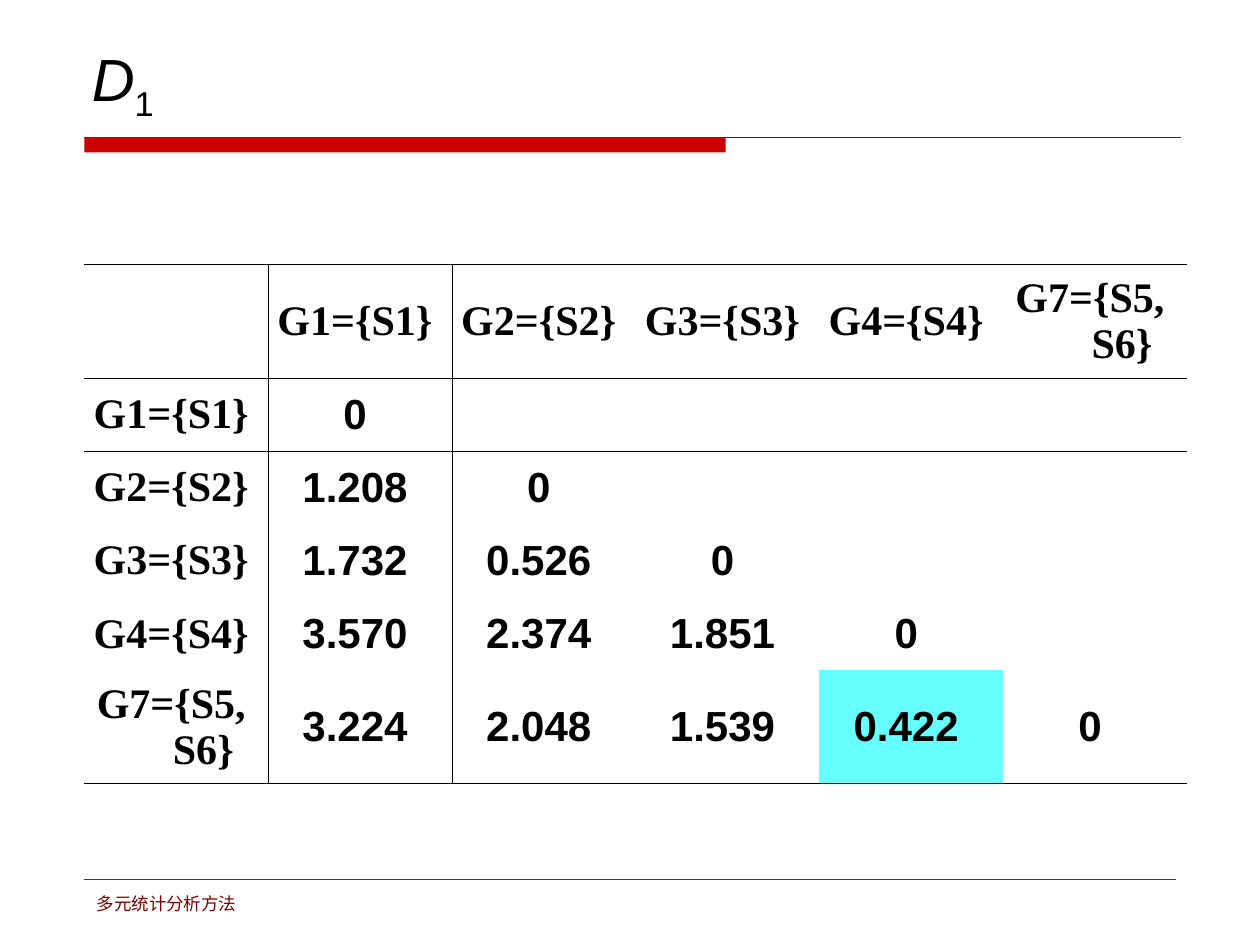
from pptx import Presentation
from pptx.util import Inches, Pt
from pptx.dml.color import RGBColor
from pptx.enum.shapes import MSO_CONNECTOR as Conn, MSO_SHAPE as Shape
from pptx.enum.text import MSO_ANCHOR as Anchor, PP_ALIGN as Align
from pptx.oxml import parse_xml
from pptx.oxml.ns import nsdecls, qn
from lxml import etree

rgb = RGBColor.from_string


def style(run, size, name, color="000000", bold=False):
    font = run.font
    font.size, font.name, font.bold = Pt(size), name, bold
    font.color.rgb = rgb(color)


prs = Presentation()
prs.slide_width, prs.slide_height = Inches(10), Inches(7.5)
slide = prs.slides.add_slide(prs.slide_layouts[6])
shapes = slide.shapes

# Title rule, its red bar and the footer rule
for y, end, color, width in [(1.09, 9.37, "333333", 0.75), (6.98, 9.33, "CC0000", 0.25)]:
    line = shapes.add_connector(Conn.STRAIGHT, Inches(0.67), Inches(y), Inches(end), Inches(y))
    line.line.color.rgb = rgb(color)
    line.line.width = Pt(width)
    etree.SubElement(line._element.spPr, qn("a:effectLst"))
bar = shapes.add_shape(Shape.RECTANGLE, Inches(0.67), Inches(1.09), Inches(5.09), Inches(0.12))
bar.shadow.inherit = False
bar.fill.solid()
bar.fill.fore_color.rgb = rgb("CC0000")
bar.line.fill.background()

# Title with subscript
title = shapes.add_textbox(Inches(0.63), Inches(0.33), Inches(8.75), Inches(0.7))
frame = title.text_frame
frame.word_wrap = True
frame.vertical_anchor = Anchor.BOTTOM
para = frame.paragraphs[0]
for text in "D1":
    run = para.add_run()
    run.text = text
    style(run, 34, "Arial")
    run.font.italic = text == "D"
run._r.get_or_add_rPr().set("baseline", "-25000")

# Footer
foot = shapes.add_textbox(Inches(0.67), Inches(7.04), Inches(3.15), Inches(0.31))
foot.text_frame.word_wrap = True
foot.text_frame.text = "多元统计分析方法"
style(foot.text_frame.paragraphs[0].runs[0], 10, "DejaVu Sans", "7C0000")

# Distance matrix
heads = ["G1={S1}", "G2={S2}", "G3={S3}", "G4={S4}", "G7={S5,S6}"]
dists = [
    ["0"],
    ["1.208", "0"],
    ["1.732", "0.526", "0"],
    ["3.570", "2.374", "1.851", "0"],
    ["3.224", "2.048", "1.539", "0.422", "0"],
]
rows = [[""] + heads] + [[head] + vals for head, vals in zip(heads, dists)]
last = len(rows) - 1
table = shapes.add_table(6, 6, Inches(0.67), Inches(2.1), Inches(8.75), Inches(4.14)).table
table.first_row = table.horz_banding = False
grid = table._tbl.tblPr.find(qn("a:tableStyleId"))
grid.text = "{2D5ABB26-0587-4C30-8999-92F81FD0307C}"  # no style, no grid
for col in table.columns:
    col.width = Inches(8.75 / 6)
for i, row in enumerate(table.rows):
    row.height = Inches(0.9 if i in (0, last) else 0.58)

for i, row in enumerate(rows):
    for j in range(6):
        cell = table.cell(i, j)
        text = row[j] if j < len(row) else ""
        if text == "0.422":  # smallest distance
            cell.fill.solid()
            cell.fill.fore_color.rgb = rgb("66FFFF")
        else:
            cell.fill.background()

        # Rules around the head row, below the table and right of the head column
        edges = [("L", j == 1), ("R", j == 0), ("T", i < 2), ("B", i in (0, last))]
        sides = [side for side, shown in edges if shown]
        for n, side in enumerate(sides):
            cell._tc.get_or_add_tcPr().insert(n, parse_xml(
                f'<a:ln{side} {nsdecls("a")} w="{Pt(0.45)}"><a:solidFill>'
                f'<a:srgbClr val="000000"/></a:solidFill></a:ln{side}>'))

        if text:
            cell.vertical_anchor = Anchor.MIDDLE
            cell.margin_left = Inches(0.02)
            cell.text_frame.text = text
            para = cell.text_frame.paragraphs[0]
            para.alignment = Align.CENTER
            props = para._p.get_or_add_pPr()
            props.set("marL", str(Inches(0.51)))
            props.set("indent", str(Inches(-0.51)))
            name = "Times New Roman" if i == 0 or j == 0 else "Arial"
            style(para.runs[0], 24, name, bold=True)

prs.save("out.pptx")
